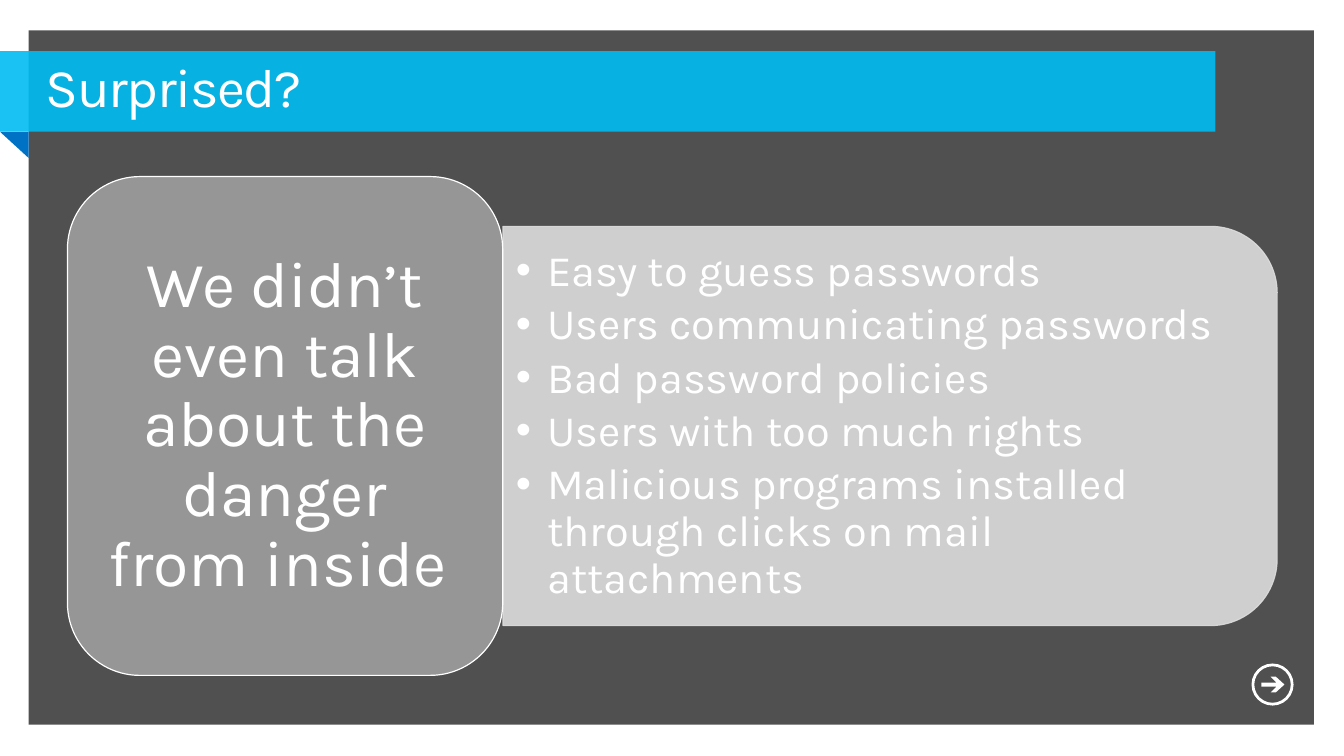
from dataclasses import dataclass

from lxml.etree import SubElement
from pptx import Presentation
from pptx.dml.color import RGBColor
from pptx.enum.shapes import MSO_SHAPE
from pptx.enum.text import MSO_ANCHOR, MSO_AUTO_SIZE, PP_ALIGN
from pptx.oxml.ns import qn
from pptx.util import Cm, Pt


@dataclass(frozen=True)
class Theme:
    font: str = "Karla"
    white: str = "FFFFFF"
    backdrop: str = "505050"
    band: str = "00BCF2"
    fold: str = "0072C6"
    card: str = "969696"
    panel: str = "DDDDDD"
    title_size: float = 38.8
    list_size: float = 31
    card_size: float = 46
    outline: float = 0.85


THEME = Theme()
QUARTER_TURN = 5400000
TITLE = "Surprised?"
MESSAGE = "We didn’t even talk about the danger from inside\t"
DANGERS = [
    "Easy to guess passwords",
    "Users communicating passwords",
    "Bad password policies",
    "Users with too much rights",
    "Malicious programs installed through clicks on mail attachments",
]


def paint(fill, color, opacity=100):
    fill.solid()
    fill.fore_color.rgb = RGBColor.from_string(color)
    if opacity < 100:
        tint = fill._xPr.find(qn("a:solidFill"))[0]
        SubElement(tint, qn("a:alpha"), val=str(opacity * 1000))


def add_block(page, preset, place, color, opacity=100, outline=None, rotation=0):
    block = page.shapes.add_shape(preset, *map(Cm, place))
    block.shadow.inherit = False
    block.rotation = rotation
    paint(block.fill, color, opacity)
    if outline:
        paint(block.line.fill, outline, opacity)
        block.line.width = Pt(THEME.outline)
    else:
        block.line.fill.background()
    return block


def add_frame(page):
    frame = add_block(page, MSO_SHAPE.FRAME, (0, 0, 33.87, 19.05), THEME.white)
    frame.adjustments[0] = 0.038
    for strip in (
        (0.64, 18.26, 32.84, 0.25),
        (0.51, 0.51, 32.84, 0.26),
        (33.12, 0.51, 0.23, 18.01),
    ):
        add_block(page, MSO_SHAPE.RECTANGLE, strip, THEME.white)


def round_off(segments, radius):
    """Turn the four sides of a diamond into quarter circles."""
    for quarter, segment in enumerate(segments):
        arc = SubElement(segment.getparent(), qn("a:arcTo"))
        arc.set("wR", str(Cm(radius)))
        arc.set("hR", str(Cm(radius)))
        arc.set("stAng", str(quarter * QUARTER_TURN))
        arc.set("swAng", str(QUARTER_TURN))
        segment.getparent().replace(segment, arc)


def add_next_icon(page, center_x, center_y):
    """Draw a ring with an arrow pointing right inside it."""
    radii = (0.53, 0.46)
    upper = [(-0.28, -0.05), (0.1, -0.05), (-0.05, -0.2), (0.08, -0.2)]
    lower = [(x, -y) for x, y in reversed(upper)]
    diamonds = [[(r, 0), (0, r), (-r, 0), (0, -r), (r, 0)] for r in radii]
    contours = [
        [(Cm(center_x + x), Cm(center_y + y)) for x, y in outline]
        for outline in (*diamonds, upper + [(0.3, 0)] + lower)
    ]
    builder = page.shapes.build_freeform(*contours[0][0])
    builder.add_line_segments(contours[0][1:])
    for contour in contours[1:]:
        builder.move_to(*contour[0])
        builder.add_line_segments(contour[1:])
    icon = builder.convert_to_shape()
    sides = list(icon._element.iter(qn("a:lnTo")))
    first_close = next(icon._element.iter(qn("a:close")))
    ring_sides = list(first_close.itersiblings(qn("a:lnTo"), preceding=True))
    sides_per_ring = len(ring_sides)
    for ring, radius in enumerate(radii):
        start = ring * sides_per_ring
        round_off(sides[start:start + 4], radius)
        for extra in sides[start + 4:start + sides_per_ring]:
            extra.getparent().remove(extra)
    icon.shadow.inherit = False
    paint(icon.fill, THEME.white)
    icon.line.fill.background()


def fill_text(box, place, insets, lines, size, anchor, align, space_after=0):
    """Place a text holder in front and write one paragraph per line."""
    box._element.getparent().append(box._element)
    box.left, box.top, box.width, box.height = map(Cm, place)
    frame = box.text_frame
    frame.text = "\n".join(lines)
    frame.word_wrap = True
    frame.auto_size = MSO_AUTO_SIZE.NONE
    frame.vertical_anchor = anchor
    frame.margin_left = frame.margin_right = Cm(insets[0])
    frame.margin_top = frame.margin_bottom = Cm(insets[1])
    for para in frame.paragraphs:
        para.alignment = align
        para.line_spacing = 0.9
        para.space_before = Pt(0)
        para.space_after = Pt(space_after)
        for span in para.runs:
            span.font.name = THEME.font
            span.font.size = Pt(size)
            span.font.color.rgb = RGBColor.from_string(THEME.white)


def add_bullet(para, indent):
    para.level = 1
    properties = para._p.get_or_add_pPr()
    properties.set("marL", str(Cm(indent)))
    properties.set("indent", str(-Cm(indent)))
    SubElement(properties, qn("a:buChar"), char="•")


def main():
    deck = Presentation()
    deck.slide_width, deck.slide_height = Cm(33.87), Cm(19.05)
    page = deck.slides.add_slide(deck.slide_layouts[1])
    title, dangers = page.placeholders
    paint(page.background.fill, THEME.backdrop)

    add_frame(page)
    add_block(page, MSO_SHAPE.RECTANGLE, (0, 1.29, 30.63, 2.03), THEME.band, 90)
    add_block(page, MSO_SHAPE.RIGHT_TRIANGLE, (0, 3.32, 0.72, 0.66),
              THEME.fold, rotation=180)
    add_next_icon(page, 32.07, 17.25)

    fill_text(title, (0.74, 1.28, 29.36, 2.03), (0.41, 0.25), [TITLE],
              THEME.title_size, MSO_ANCHOR.TOP, PP_ALIGN.LEFT)
    for span in title.text_frame.paragraphs[0].runs:
        span.font._element.set("spc", "-100")

    add_block(page, MSO_SHAPE.ROUND_2_SAME_RECTANGLE, (17.4, 0.98, 10.06, 19.51),
              THEME.panel, 90, THEME.panel, rotation=90)
    fill_text(dangers, (12.67, 6.2, 19.02, 9.07), (0.33, 0.15), DANGERS,
              THEME.list_size, MSO_ANCHOR.MIDDLE, PP_ALIGN.LEFT, space_after=4.65)
    for para in dangers.text_frame.paragraphs:
        add_bullet(para, 0.79)

    add_block(page, MSO_SHAPE.ROUNDED_RECTANGLE, (1.7, 4.45, 10.97, 12.57),
              THEME.card, outline=THEME.white)
    message = page.shapes.add_textbox(0, 0, 0, 0)
    fill_text(message, (2.22, 4.98, 9.91, 11.51), (0.48, 0.25), [MESSAGE],
              THEME.card_size, MSO_ANCHOR.MIDDLE, PP_ALIGN.CENTER)

    deck.save("out.pptx")


if __name__ == "__main__":
    main()
